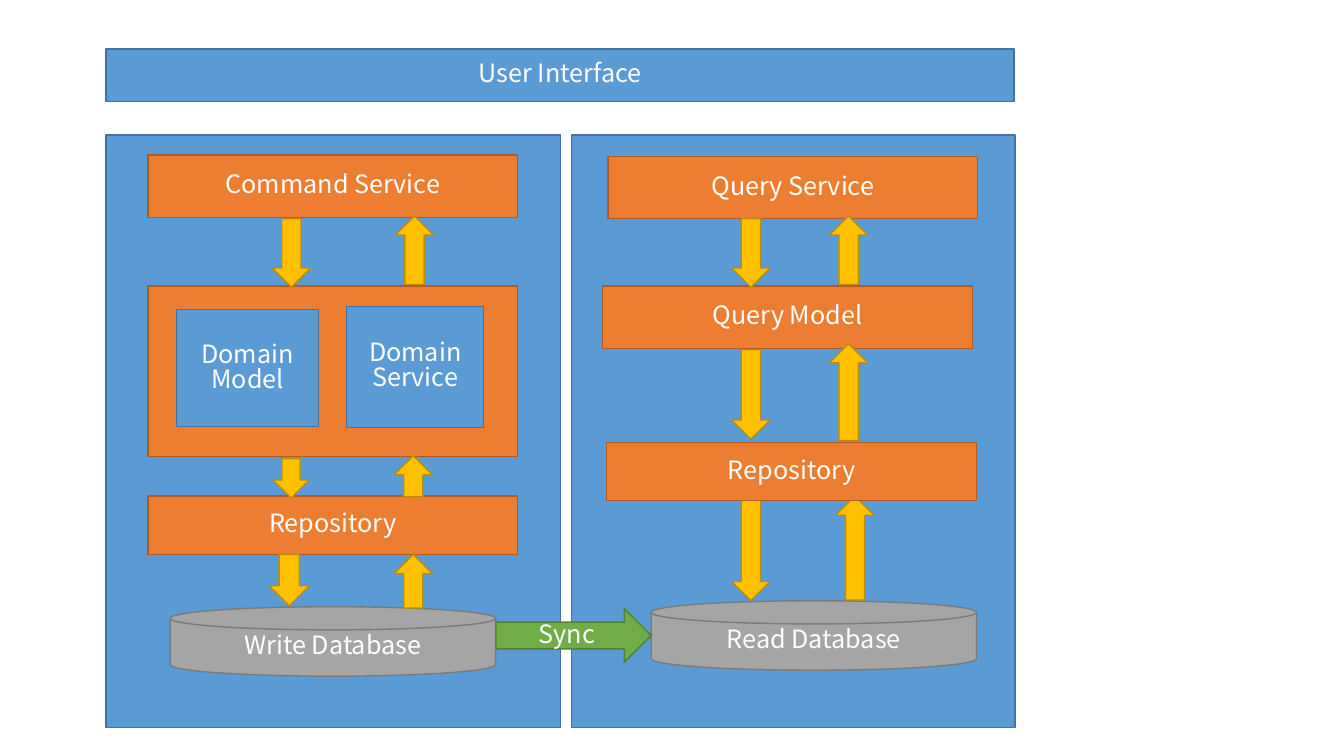
"""Build a slide that shows a command and query architecture."""
from pptx import Presentation
from pptx.dml.color import RGBColor
from pptx.enum import shapes, text
from pptx.util import Cm, Pt

KIND = shapes.MSO_SHAPE
HUES = {
    "blue": ("5B9BD5", "43739E"),
    "orange": ("ED7D31", "AF5C24"),
    "gold": ("FFC000", "BD8E00"),
    "gray": ("A5A5A5", "7A7A7A"),
    "green": ("70AD47", "538035"),
}
FONT = {"name": "Noto Sans CJK SC", "size": Pt(18)}
PARA = {"alignment": text.PP_ALIGN.CENTER, "line_spacing": 0.83}

deck = Presentation()
deck.slide_width, deck.slide_height = Cm(33.87), Cm(19.05)
slide = deck.slides.add_slide(deck.slide_layouts[6])


def draw(kind, hue, left, top, width, height, label=""):
    area = [Cm(side) for side in (left, top, width, height)]
    shape = slide.shapes.add_shape(kind, *area)
    shape.shadow.inherit = False
    fill, line = HUES[hue]
    shape.fill.solid()
    shape.fill.fore_color.rgb = RGBColor.from_string(fill)
    shape.line.color.rgb = RGBColor.from_string(line)
    shape.line.width = Pt(1)
    if label:
        frame = shape.text_frame
        frame.text = label
        frame.vertical_anchor = text.MSO_ANCHOR.MIDDLE
        para = frame.paragraphs[0]
        for key, value in PARA.items():
            setattr(para, key, value)
        font = para.runs[0].font
        for key, value in FONT.items():
            setattr(font, key, value)
        font.color.rgb = RGBColor.from_string("FFFFFF")
    return shape


panels = [
    (2.67, 1.24, 22.89, 1.32, "User Interface"),
    (14.4, 3.4, 11.18, 14.94),
    (2.67, 3.4, 11.46, 14.94),
]
for panel in panels:
    draw(KIND.RECTANGLE, "blue", *panel)

WIDE = 9.32
layers = [
    (3.73, 3.91, WIDE, 1.57, "Command Service"),
    (3.73, 7.21, WIDE, 4.29),
    (3.73, 12.5, WIDE, 1.47, "Repository"),
    (15.32, 3.94, WIDE, 1.57, "Query Service"),
    (15.19, 7.21, WIDE, 1.57, "Query Model"),
]
for layer in layers:
    draw(KIND.RECTANGLE, "orange", *layer)

draw(KIND.RECTANGLE, "blue", 4.45, 7.8, 3.58, 2.95, "Domain Model")
draw(KIND.RECTANGLE, "blue", 8.74, 7.72, 3.45, 3.05, "Domain Service")

for left, top, label in [(4.29, 15.29, "Write Database"), (16.41, 15.14, "Read Database")]:
    draw(KIND.FLOWCHART_MAGNETIC_DISK, "gray", left, top, 8.2, 1.75, label)

SLIM = 0.97
arrows = [
    (0, 6.86, 5.51, SLIM, 1.73),
    (0, 6.88, 11.56, 0.91, 0.99),
    (0, 6.78, 13.97, 1.02, 1.3),
    (180, 9.96, 5.44, SLIM, 1.73),
    (180, 9.93, 11.48, SLIM, 1.04),
    (180, 9.93, 13.97, SLIM, 1.35),
    (0, 18.44, 5.51, SLIM, 1.73),
    (0, 18.44, 8.81, SLIM, 2.26),
    (0, 18.44, 12.57, SLIM, 2.57),
    (180, 20.9, 5.44, SLIM, 1.73),
    (180, 20.9, 8.66, SLIM, 2.44),
    (180, 21.06, 12.5, SLIM, 2.62),
]
for turn, *area in arrows:
    draw(KIND.DOWN_ARROW, "gold", *area).rotation = turn

draw(KIND.RIGHT_ARROW, "green", 12.5, 15.34, 3.91, 1.35, "Sync")
draw(KIND.RECTANGLE, "orange", 15.29, 11.15, WIDE, 1.47, "Repository")

deck.save("out.pptx")
